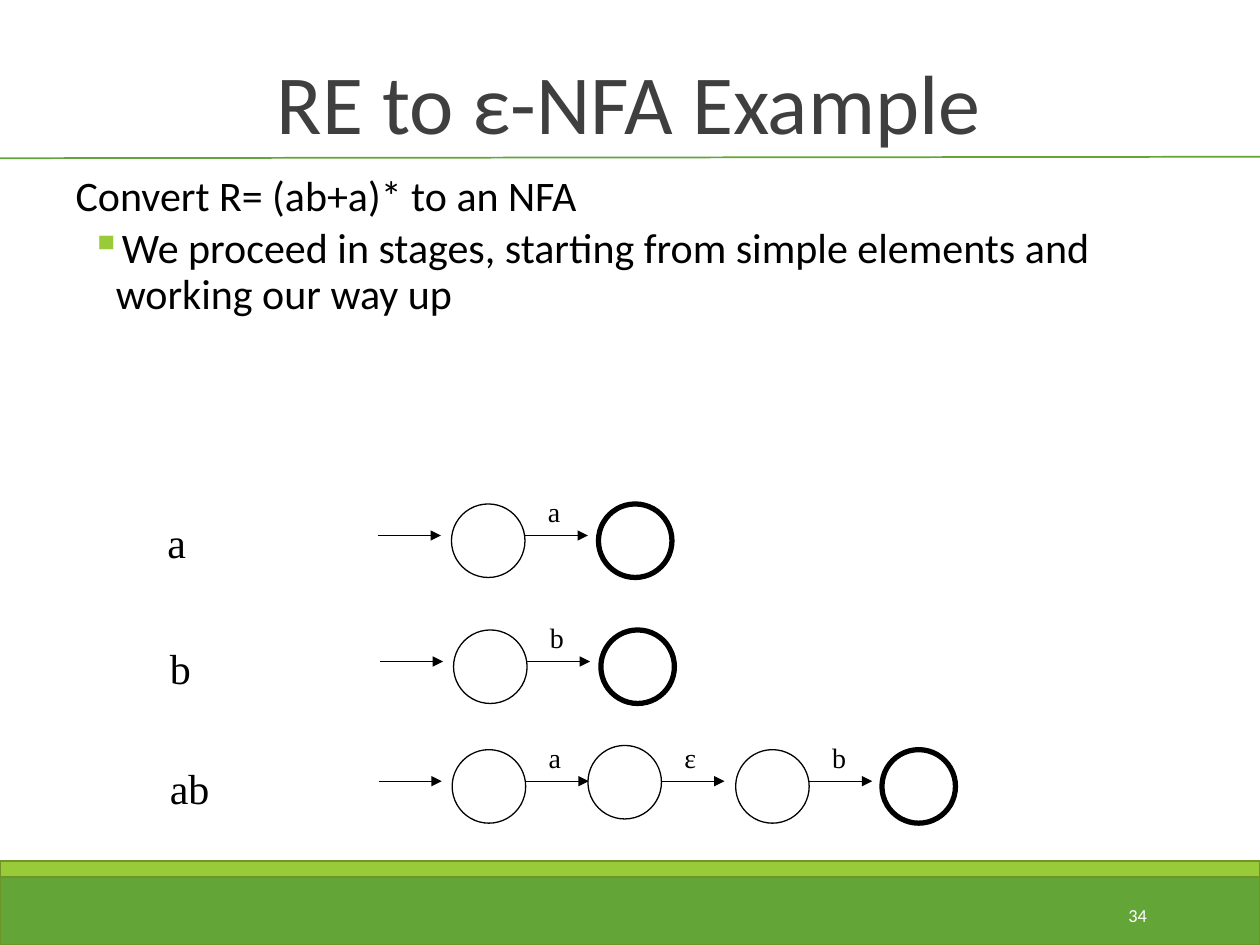
from lxml import etree
from pptx import Presentation
from pptx.dml.color import RGBColor
from pptx.enum.shapes import MSO_CONNECTOR, MSO_SHAPE
from pptx.enum.text import MSO_ANCHOR, PP_ALIGN
from pptx.oxml.ns import qn
from pptx.util import Pt


def rgb(value):
    return RGBColor.from_string(value)


def add_text(s, text, x, y, w, h, size=24, font="Times New Roman", color="000000",
             align=PP_ALIGN.LEFT, anchor=MSO_ANCHOR.TOP, spacing=1.0, inset=7.2):
    """Add a text box with one paragraph per line of text; return its frame."""
    tf = s.shapes.add_textbox(Pt(x), Pt(y), Pt(w), Pt(h)).text_frame
    tf.word_wrap = True
    tf.vertical_anchor = anchor
    tf.margin_left = tf.margin_right = Pt(inset)
    tf.text = text
    for p in tf.paragraphs:
        p.alignment = align
        p.line_spacing = spacing
        for r in p.runs:
            r.font.size = Pt(size)
            r.font.name = font
            r.font.color.rgb = rgb(color)
    return tf


prs = Presentation()
prs.slide_width, prs.slide_height = Pt(720), Pt(540)
s = prs.slides.add_slide(prs.slide_layouts[6])

add_text(s, "RE to ε-NFA Example", 35.3, 18, 648, 72, size=48, font="Calibri",
         color="3F3F3F", align=PP_ALIGN.CENTER, anchor=MSO_ANCHOR.BOTTOM, spacing=0.85)

body = add_text(s, "Convert R= (ab+a)* to an NFA\n"
                "We proceed in stages, starting from simple elements and working our way up",
                36, 96.5, 648, 384, font="Calibri", spacing=0.9, inset=0)
intro, step = body.paragraphs
intro._p.get_or_add_pPr().set("marL", str(Pt(7.2)))
step.space_before = Pt(4)
pPr = step._p.get_or_add_pPr()
pPr.set("marL", str(Pt(30.2)))
pPr.set("indent", str(Pt(-14.4)))
bullet_color = etree.SubElement(pPr, qn("a:buClr"))
etree.SubElement(bullet_color, qn("a:srgbClr"), val="99CB38")
etree.SubElement(pPr, qn("a:buChar"), char="▪")

# Shapes: kind, left, top, width, height, fill, line colour, line width
shapes = [
    (MSO_SHAPE.RECTANGLE, 0, 498, 720, 42, "63A537", "6F9428", 1.25),
    (MSO_SHAPE.RECTANGLE, 0, 491.8, 720, 9.4, "99CB38", "6F9428", 1.25),
]
# Lines: start x, start y, end x, end y, colour, width, arrowhead
lines = [(-2, 90.4, 720, 89.6, "63A537", 1, False)]

# Automata: label, label left, top, state positions (left, rise), symbols
D, ARROW = 42, 36
automata = [
    ("a", 88.6, 288, [(258, 0), (342, 0)], "a"),
    ("b", 90, 360, [(259.2, 0), (343.4, 0)], "b"),
    ("ab", 90, 428.4, [(258.4, 0), (336, 2.4), (420.4, 0), (504, 0)], "aεb"),
]
for label, label_x, top, states, symbols in automata:
    add_text(s, label, label_x, top + 3.6, 50, 36)
    arrow_y = top + 18
    starts = [states[0][0] - D] + [x + D for x, rise in states[:-1]]
    for x in starts:
        lines.append((x, arrow_y, x + ARROW, arrow_y, "000000", 0.75, True))
    for x, symbol in zip(starts[1:], symbols):
        add_text(s, symbol, x + 6, top - 8.8, 26, 26.6, size=16)
    for i, (x, rise) in enumerate(states):
        accepting = i == len(states) - 1
        shapes.append((MSO_SHAPE.OVAL, x, top - rise, D, D, None, "000000",
                       3 if accepting else 0.75))

for kind, x, y, w, h, fill, color, width in shapes:
    sp = s.shapes.add_shape(kind, Pt(x), Pt(y), Pt(w), Pt(h))
    sp.shadow.inherit = False
    if fill:
        sp.fill.solid()
        sp.fill.fore_color.rgb = rgb(fill)
    else:
        sp.fill.background()
    sp.line.color.rgb = rgb(color)
    sp.line.width = Pt(width)

for x1, y1, x2, y2, color, width, arrow in lines:
    cx = s.shapes.add_connector(MSO_CONNECTOR.STRAIGHT, Pt(x1), Pt(y1), Pt(x2), Pt(y2))
    cx.line.color.rgb = rgb(color)
    cx.line.width = Pt(width)
    if arrow:
        etree.SubElement(cx.line._get_or_add_ln(), qn("a:tailEnd"), type="triangle")
    etree.SubElement(cx._element.spPr, qn("a:effectLst"))

add_text(s, "34", 584.6, 508.3, 77.8, 28.8, size=10.5, font="Calibri", color="FFFFFF",
         align=PP_ALIGN.RIGHT, anchor=MSO_ANCHOR.MIDDLE)

prs.save("out.pptx")
